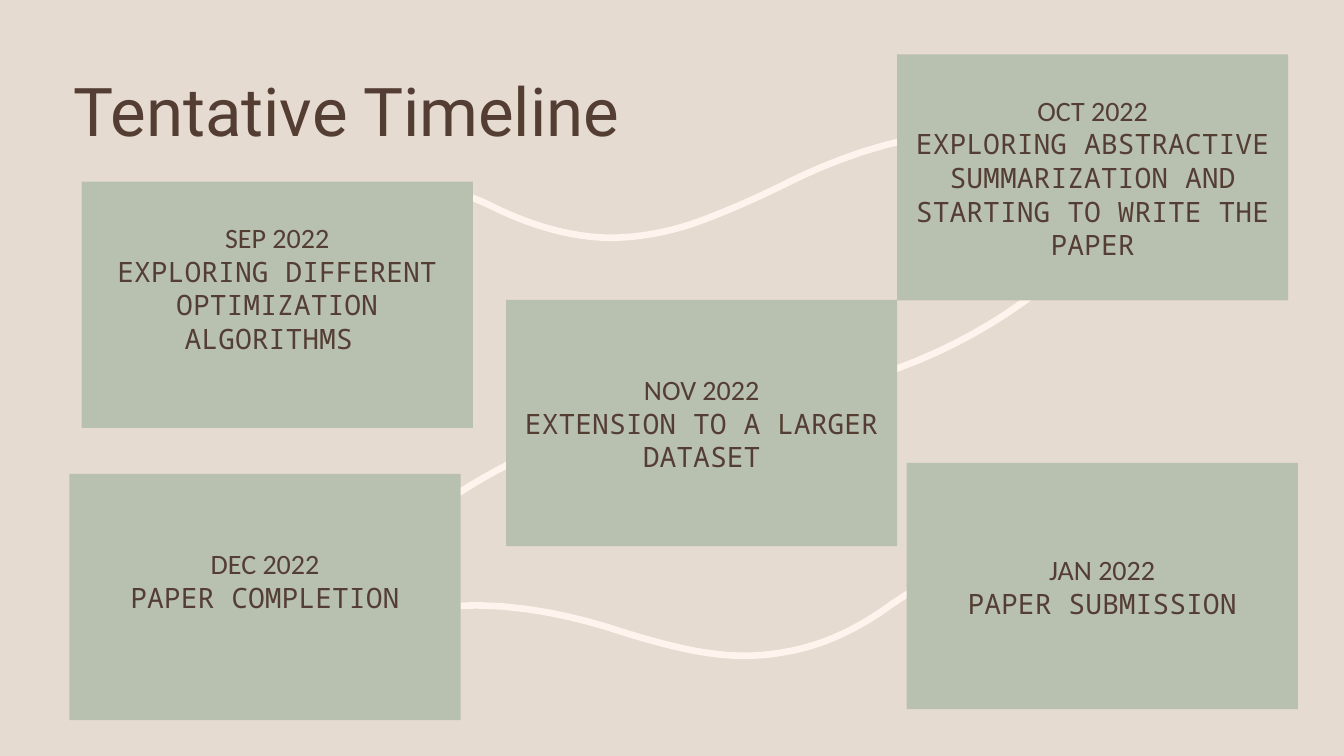
from pptx import Presentation, util as u
from pptx.dml.color import RGBColor
from pptx.enum import shapes, text

Pt = u.Pt
SAND, SAGE, CREAM, BROWN = "E6DBD0", "B8C0B0", "FEF3ED", "543E34"
CARD_W, CARD_H = 279.4, 175.8
LINE_H = 24
STEPS = 12

# Left, top, month, task, free lines kept under the text
CARDS = [
    (58.3, 129.8, "SEP 2022", "EXPLORING DIFFERENT OPTIMIZATION ALGORITHMS ", 1),
    (640.8, 38.8, "OCT 2022", "EXPLORING ABSTRACTIVE SUMMARIZATION AND STARTING TO WRITE THE PAPER", 0),
    (361.5, 214.3, "NOV 2022", "EXTENSION TO A LARGER DATASET", 0),
    (49.6, 338.6, "DEC 2022", "PAPER COMPLETION", 1),
    (647.6, 330.7, "JAN 2022", "PAPER SUBMISSION", 0),
]

# Bezier paths: a start point, then three points for each bend
TRAILS = [
    [(599.8, 275.8), (657.4, 261.4), (709.2, 235.4), (753.8, 198)],
    [(420.5, 308.2), (366.5, 325.4), (320.4, 352.8), (280.1, 388.1)],
    [(221, 160.6), (252, 134.6), (286.6, 127.4), (323.3, 136.8),
     (335.5, 139.7), (346.3, 144.7), (357.8, 150.5),
     (381.6, 161.3), (406.8, 169.2), (434.9, 169.9),
     (458.6, 169.9), (482.4, 164.9), (504.7, 156.2),
     (530.6, 146.2), (545, 139), (560.2, 131.8),
     (576.7, 123.1), (676.8, 74.2), (739.4, 105.1)],
    [(662.4, 416.9), (650.9, 421.9), (641.5, 428.4), (631.4, 435.6),
     (610.6, 450), (586.8, 461.5), (560.2, 465.8),
     (537.1, 470.2), (514.1, 468.7), (490.3, 463.7),
     (464.4, 457.9), (449.3, 452.9), (433.4, 447.8),
     (416.2, 442.8), (312.5, 410.4), (249.8, 457.9)],
]


def paint(fmt, shade):
    fmt.solid()
    fmt.fore_color.rgb = RGBColor.from_string(shade)


def style(para, face, size):
    for run in para.runs:
        run.font.name = face
        run.font.size = Pt(size)
        paint(run.font.fill, BROWN)


def trace(knots):
    """Points along a chain of cubic bends."""
    dots = [knots[0]]
    for i in range(0, len(knots) - 1, 3):
        bend = knots[i:i + 4]
        for n in range(1, STEPS + 1):
            t = n / STEPS
            part = ((1 - t) ** 3, 3 * t * (1 - t) ** 2, 3 * t * t * (1 - t), t ** 3)
            dots.append(tuple(sum(w * dot[k] for w, dot in zip(part, bend))
                              for k in (0, 1)))
    return dots


def trail(slide, knots):
    dots = [(Pt(x), Pt(y)) for x, y in trace(knots)]
    pen = slide.shapes.build_freeform(*dots[0])
    pen.add_line_segments(dots[1:], close=False)
    curve = pen.convert_to_shape()
    curve.shadow.inherit = False
    curve.fill.background()
    paint(curve.line.fill, CREAM)
    curve.line.width = Pt(4.75)


def heading(slide, x, y, w, h):
    title = slide.shapes.title
    title.left, title.top, title.width, title.height = map(Pt, (x, y, w, h))
    frame = title.text_frame
    frame.text = "Tentative Timeline"
    frame.word_wrap = True
    frame.vertical_anchor = text.MSO_ANCHOR.MIDDLE
    para = frame.paragraphs[0]
    para.alignment = text.PP_ALIGN.LEFT
    para.line_spacing = 0.9
    style(para, "Roboto", 48)


def card(slide, x, y, w, h, month, task, spare):
    box = slide.shapes.add_shape(shapes.MSO_SHAPE.RECTANGLE, *map(Pt, (x, y, w, h)))
    box.shadow.inherit = False
    paint(box.fill, SAGE)
    box.line.fill.background()
    frame = box.text_frame
    frame.word_wrap = True
    frame.vertical_anchor = text.MSO_ANCHOR.MIDDLE
    frame.margin_bottom = Pt(3.6 + spare * LINE_H)
    frame.text = month + "\n" + task
    for para, face in zip(frame.paragraphs, ("Calibri", "Noto Sans Mono")):
        para.alignment = text.PP_ALIGN.CENTER
        style(para, face, 20)


def main():
    deck = Presentation()
    deck.slide_width, deck.slide_height = Pt(960), Pt(540)
    slide = deck.slides.add_slide(deck.slide_layouts.get_by_name("Title Only"))
    paint(slide.background.fill, SAND)

    # Winding path behind the cards
    for knots in TRAILS:
        trail(slide, knots)

    # Title and milestones
    heading(slide, 45.4, 55.4, 720, 53.3)
    for x, y, month, task, spare in CARDS:
        card(slide, x, y, CARD_W, CARD_H, month, task, spare)

    deck.save("out.pptx")


if __name__ == "__main__":
    main()
